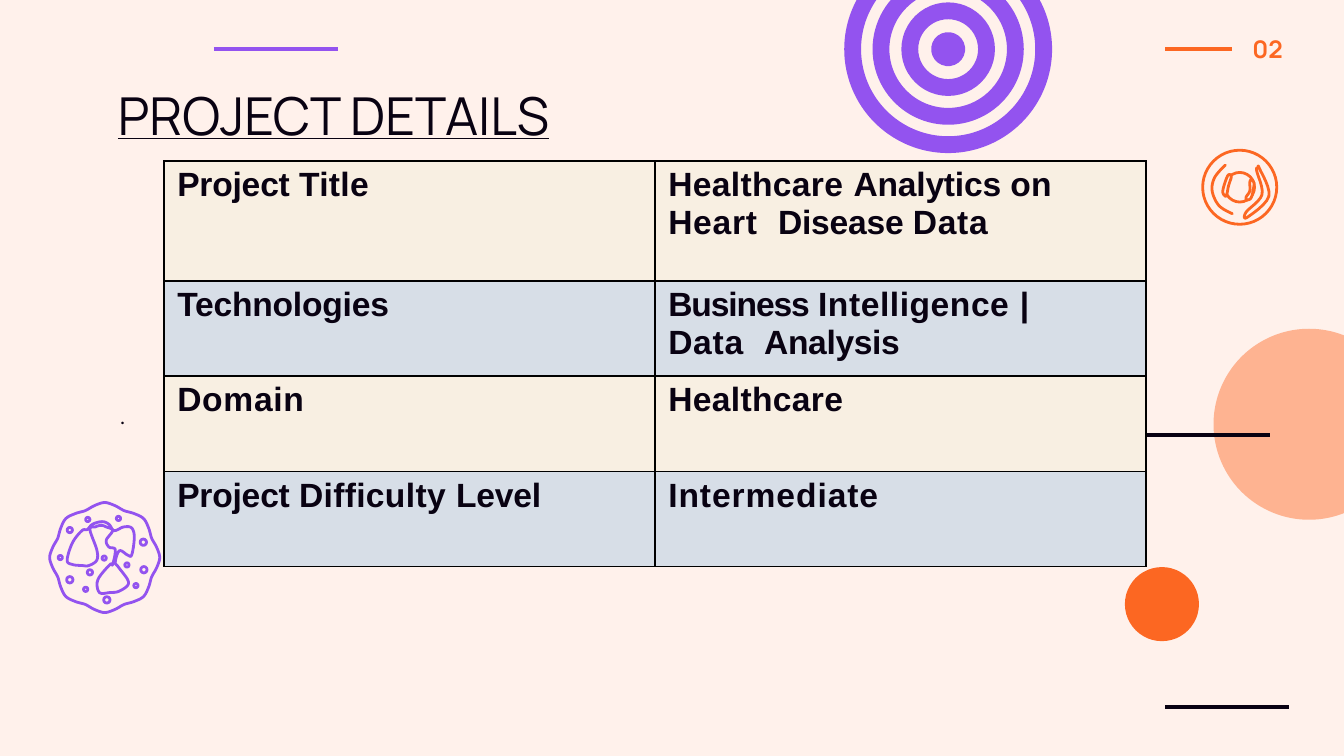
from dataclasses import dataclass
from math import cos, pi, sin

from lxml.etree import SubElement
from pptx import Presentation
from pptx.dml.color import RGBColor
from pptx.enum.shapes import MSO_CONNECTOR as CONN, MSO_SHAPE as SHAPE
from pptx.enum.text import MSO_ANCHOR as ANCHOR, MSO_AUTO_SIZE as AUTO, PP_ALIGN as ALIGN
from pptx.oxml.ns import qn
from pptx.util import Cm, Pt


@dataclass(frozen=True)
class Theme:
    """Colours, fonts and point sizes of the slide."""
    paper: str = "FFF1EB"
    ink: str = "090212"
    violet: str = "9353EF"
    orange: str = "FC6722"
    peach: str = "FEB391"
    cream: str = "F8EFE2"
    mist: str = "D7DEE7"
    border: str = "000000"
    head_font: str = "Manrope"
    body_font: str = "League Spartan"
    table_font: str = "Arial"
    title_size: float = 28
    number_size: float = 13
    body_size: float = 11
    table_size: float = 18
    rule: float = 2.25
    icon: float = 1.5
    ring: float = 9


T = Theme()

ROWS = [
    ([("Project ", -10), ("Title", 20)],
     [("Healthcare ", 20), ("Analytics ", -10), ("on ", 20), ("Heart  ", 40),
      ("Disease ", -10), ("Data", 40)]),
    ([("Technologies", -10)],
     [("Business ", -60), ("Intelligence ", 30), ("| ", -70), ("Data  ", 40),
      ("Analysis", -20)]),
    ([("Domain", 40)], [("Healthcare", 20)]),
    ([("Project ", -10), ("Difficulty ", 20), ("Level", -10)], [("Intermediate", 50)]),
]

IRIS_PARTS = [
    [(23.77, 3.18), (23.75, 3.23), (23.85, 3.68), (23.55, 4.01), (23.57, 4.11),
     (23.98, 3.71), (23.8, 3.18)],
    [(23.16, 3.12), (22.96, 3.35), (22.91, 3.61), (23.04, 3.89), (23.29, 4.04),
     (23.04, 3.89), (22.91, 3.61), (22.96, 3.35)],
]
IRIS_CORE = [
    [(23.24, 3.3), (23.19, 3.35), (23.11, 3.61), (23.16, 3.71), (23.19, 3.66),
     (23.22, 3.51), (23.27, 3.35)],
    [(23.65, 3.4), (23.62, 3.45), (23.62, 3.61), (23.55, 3.73), (23.57, 3.78),
     (23.65, 3.73), (23.7, 3.48)],
]
NUCLEUS = [
    (1.93, 9.86), (1.75, 9.91), (1.65, 10.01), (1.55, 10.03), (1.37, 10.26), (1.27, 10.59),
    (1.37, 10.67), (1.55, 10.69), (1.68, 10.69), (1.83, 10.59), (1.83, 10.39), (1.7, 10.01),
    (1.8, 9.96), (1.91, 9.93), (2.01, 9.96), (2.13, 10.03), (2.01, 10.21), (2.06, 10.34),
    (2.18, 10.39), (2.13, 10.67), (2.08, 10.67), (1.85, 10.96), (1.88, 11.2), (2.08, 11.2),
    (2.24, 11.18), (2.41, 11.07), (2.41, 10.95), (2.24, 10.72), (2.18, 10.62), (2.26, 10.41),
    (2.41, 10.49), (2.49, 10.49), (2.54, 10.16), (2.49, 9.98), (2.34, 9.96), (2.16, 10.03),
    (2.06, 9.91),
]
GRANULES = {
    0.12: [(1.32, 10.96), (2.02, 11.34), (2.72, 10.77), (2.71, 10.25)],
    0.1: [(1.7, 10.82), (1.32, 10.02)],
    0.08: [(1.97, 10.55), (1.14, 10.54), (1.62, 11.14), (2.4, 10.68), (2.24, 9.8),
           (1.66, 9.82), (2.57, 11.07)],
}


def rgb(code):
    """Turn a hex code into a colour."""
    return RGBColor.from_string(code)


def paint(sp, fill=None, line=None, width=T.icon):
    """Set the fill and outline of a shape and drop its shadow."""
    sp.shadow.inherit = False
    if fill:
        sp.fill.solid()
        sp.fill.fore_color.rgb = rgb(fill)
    else:
        sp.fill.background()
    if line:
        sp.line.color.rgb = rgb(line)
        sp.line.width = Pt(width)
    else:
        sp.line.fill.background()


def add_circle(s, x, y, size, **style):
    """Draw a circle by its centre and diameter in centimetres."""
    sp = s.shapes.add_shape(SHAPE.OVAL, Cm(x - size / 2), Cm(y - size / 2), Cm(size), Cm(size))
    paint(sp, **style)


def add_rule(s, x1, x2, y, color):
    """Draw a horizontal line."""
    ln = s.shapes.add_connector(CONN.STRAIGHT, Cm(x1), Cm(y), Cm(x2), Cm(y))
    ln.line.color.rgb = rgb(color)
    ln.line.width = Pt(T.rule)
    SubElement(ln._element.spPr, qn("a:effectLst"))


def smooth(points, steps=6):
    """Run a closed Catmull-Rom curve through the points."""
    curve = []
    for i in range(len(points)):
        quad = [points[(i + k) % len(points)] for k in (-1, 0, 1, 2)]
        for t in (n / steps for n in range(steps)):
            curve.append(tuple(
                (2 * b + (c - a) * t + (2 * a - 5 * b + 4 * c - d) * t ** 2
                 + (3 * b - a - 3 * c + d) * t ** 3) / 2
                for a, b, c, d in zip(*quad)))
    return curve


def add_blob(s, points, color):
    """Draw a smooth closed outline."""
    (x, y), *rest = [(Cm(px), Cm(py)) for px, py in smooth(points)]
    fb = s.shapes.build_freeform(x, y)
    fb.add_line_segments(rest, close=True)
    paint(fb.convert_to_shape(), fill=T.paper, line=color)


def add_run(p, text, font, size, color=T.ink, bold=False, underline=False, spacing=0):
    """Append one formatted run."""
    r = p.add_run()
    r.text = text
    f = r.font
    f.name, f.size, f.bold, f.underline = font, Pt(size), bold, underline
    f.color.rgb = rgb(color)
    if spacing:
        r._r.get_or_add_rPr().set("spc", str(spacing))


def set_text(sp, box, text, font, size, **style):
    """Place a text shape and write its single line."""
    sp.left, sp.top, sp.width, sp.height = (Cm(v) for v in box)
    tf = sp.text_frame
    tf.word_wrap, tf.auto_size, tf.vertical_anchor = True, AUTO.NONE, ANCHOR.MIDDLE
    tf.margin_left = tf.margin_right = tf.margin_top = tf.margin_bottom = Cm(0.25)
    p = tf.paragraphs[0]
    p.alignment = ALIGN.LEFT
    add_run(p, text, font, size, **style)


def add_text(s, box, *args, **style):
    """Add a text box with one line."""
    set_text(s.shapes.add_textbox(0, 0, 0, 0), box, *args, **style)


def fill_cell(cell, runs, color):
    """Write, fill and border one table cell."""
    cell.margin_left = cell.margin_right = cell.margin_bottom = 0
    cell.margin_top = Cm(0.1)
    tc_pr = cell._tc.get_or_add_tcPr()
    for side in ("lnL", "lnR", "lnT", "lnB"):
        ln = SubElement(tc_pr, qn(f"a:{side}"), w=str(Pt(1)))
        SubElement(SubElement(ln, qn("a:solidFill")), qn("a:srgbClr"), val=T.border)
    cell.fill.solid()
    cell.fill.fore_color.rgb = rgb(color)
    p = cell.text_frame.paragraphs[0]
    p.space_before = Pt(2.8)
    p_pr = p._p.get_or_add_pPr()
    p_pr.set("marL", str(Cm(0.25)))
    p_pr.set("marR", str(Cm(1.1)))
    for text, spacing in runs:
        add_run(p, text, T.table_font, T.table_size, bold=True, spacing=spacing)


def add_details(s):
    """Add the table of project details."""
    heights = [2.27] + [1.8] * (len(ROWS) - 1)
    table = s.shapes.add_table(len(ROWS), 2, Cm(3.1), Cm(3.04), Cm(18.56), Cm(sum(heights))).table
    table.first_row = table.horz_banding = False
    for i, (row, height) in enumerate(zip(ROWS, heights)):
        table.rows[i].height = Cm(height)
        for j, runs in enumerate(row):
            fill_cell(table.cell(i, j), runs, T.mist if i % 2 else T.cream)


def add_iris(s, x=23.43, y=3.54):
    """Draw the round orange icon."""
    style = dict(fill=T.paper, line=T.orange)
    add_circle(s, x, y, 1.4, **style)
    for part in IRIS_PARTS:
        add_blob(s, part, T.orange)
    add_circle(s, x, y, 0.56, **style)
    for part in IRIS_CORE:
        add_blob(s, part, T.orange)


def add_blood_cell(s, x=1.98, y=10.54, lobes=8):
    """Draw the violet cell with its nucleus and granules."""
    angles = [2 * pi * n / (4 * lobes) for n in range(4 * lobes)]
    radii = [1 + 0.04 * cos(lobes * a) for a in angles]
    add_blob(s, [(x + r * cos(a), y + r * sin(a)) for a, r in zip(angles, radii)], T.violet)
    add_blob(s, NUCLEUS, T.violet)
    for size, centres in GRANULES.items():
        for cx, cy in centres:
            add_circle(s, cx, cy, size, fill=T.paper, line=T.violet)


def main():
    """Build the slide and save it."""
    prs = Presentation()
    prs.slide_width, prs.slide_height = Cm(25.4), Cm(14.29)
    s = prs.slides.add_slide(prs.slide_layouts[5])
    s.background.fill.solid()
    s.background.fill.fore_color.rgb = rgb(T.paper)
    add_rule(s, 4.04, 6.38, 0.93, T.violet)
    add_rule(s, 22.02, 23.29, 0.93, T.orange)
    add_rule(s, 22.02, 24.36, 13.36, T.ink)
    add_circle(s, 24.74, 8.02, 3.61, fill=T.peach)
    add_iris(s)
    add_circle(s, 21.96, 11.42, 1.4, fill=T.orange)
    set_text(s.shapes.title, (1.98, 1.5, 13.61, 1.32), "PROJECT DETAILS",
             T.head_font, T.title_size, underline=True)
    add_text(s, (2.01, 2.97, 20.02, 9.8), ".", T.body_font, T.body_size)
    add_rule(s, 21.67, 24, 8.23, T.ink)
    for size, fill in ((3.61, None), (2.54, None), (1.45, None), (0.33, T.orange)):
        add_circle(s, 17.92, 0.93, size, fill=fill, line=T.violet, width=T.ring)
    add_blood_cell(s)
    add_text(s, (23.42, 0.51, 1.27, 0.84), "02", T.head_font, T.number_size,
             color=T.orange, bold=True)
    add_details(s)
    prs.save("out.pptx")


if __name__ == "__main__":
    main()
